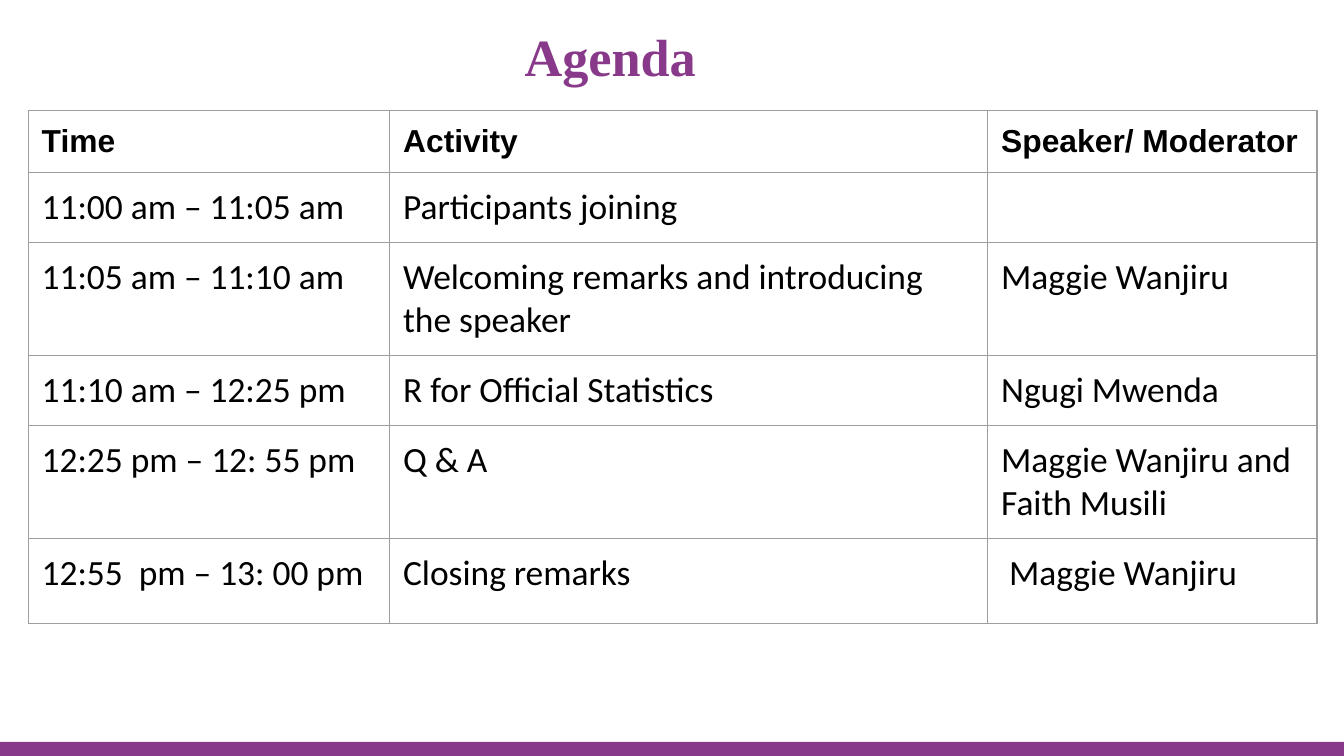
from lxml import etree
from pptx import Presentation
from pptx.dml.color import RGBColor
from pptx.enum.shapes import MSO_SHAPE
from pptx.enum.text import MSO_ANCHOR, PP_ALIGN
from pptx.oxml.ns import qn
from pptx.util import Inches, Pt

RECT = MSO_SHAPE.RECTANGLE
MIDDLE = MSO_ANCHOR.MIDDLE
CENTER = PP_ALIGN.CENTER
PURPLE = RGBColor(0x88, 0x39, 0x8A)
BLACK = RGBColor(0, 0, 0)
GREY = RGBColor(0x9E, 0x9E, 0x9E)
WIDTH = Inches(10)
HEIGHT = WIDTH * 9 // 16
PAD = Inches(0.1)
COLS = [2.69, 4.45, 2.45]
ROWS = [0.43, 0.48, 0.63, 0.48, 0.48, 0.63]
AGENDA = [
    ("Time", "Activity", "Speaker/ Moderator"),
    ("11:00 am – 11:05 am", "Participants joining", ""),
    ("11:05 am – 11:10 am", "Welcoming remarks and introducing the speaker",
     "Maggie Wanjiru"),
    ("11:10 am – 12:25 pm", "R for Official Statistics", "Ngugi Mwenda"),
    ("12:25 pm – 12: 55 pm", "Q & A", "Maggie Wanjiru and Faith Musili"),
    ("12:55  pm – 13: 00 pm", "Closing remarks", " Maggie Wanjiru"),
]


def style(frame, name, size, color, bold):
    """Format every run of a text frame."""
    for para in frame.paragraphs:
        for run in para.runs:
            font = run.font
            font.name, font.size, font.bold = name, Pt(size), bold
            font.color.rgb = color


def pad(box):
    """Give a cell or text frame equal margins."""
    box.margin_left = box.margin_right = PAD
    box.margin_top = box.margin_bottom = PAD


def add_title(slide, text):
    """Place and format the title."""
    title = slide.shapes.title
    title.left, title.top = Inches(1.12), Inches(0.16)
    title.width, title.height = Inches(6.84), Inches(0.51)
    frame = title.text_frame
    frame.text = text
    frame.vertical_anchor = MIDDLE
    frame.paragraphs[0].alignment = CENTER
    pad(frame)
    style(frame, "Times New Roman", 28, PURPLE, True)


def add_bar(slide):
    """Draw the band along the bottom edge."""
    top = Inches(5.52)
    bar = slide.shapes.add_shape(RECT, 0, top, WIDTH, HEIGHT - top)
    bar.shadow.inherit = False
    bar.fill.solid()
    bar.fill.fore_color.rgb = PURPLE
    bar.line.fill.background()


def add_border(cell):
    """Outline all four sides of a cell."""
    props = cell._tc.get_or_add_tcPr()
    for side in ("a:lnL", "a:lnR", "a:lnT", "a:lnB"):
        line = etree.SubElement(props, qn(side), w=str(Pt(0.75)))
        fill = etree.SubElement(line, qn("a:solidFill"))
        etree.SubElement(fill, qn("a:srgbClr"), val=str(GREY))


def fill_cell(cell, text, head):
    """Write and format one cell."""
    cell.text_frame.text = text
    pad(cell)
    add_border(cell)
    cell.fill.background()
    name, size = ("Arial", 17) if head else ("Calibri", 19)
    style(cell.text_frame, name, size, BLACK, head)


def add_agenda(slide):
    """Build the agenda table."""
    table = slide.shapes.add_table(
        len(ROWS), len(COLS), Inches(0.21), Inches(0.82),
        Inches(sum(COLS)), Inches(sum(ROWS))).table
    table.horz_banding = False
    for col, width in zip(table.columns, COLS):
        col.width = Inches(width)
    for row, height in zip(table.rows, ROWS):
        row.height = Inches(height)
    for r, texts in enumerate(AGENDA):
        for c, text in enumerate(texts):
            fill_cell(table.cell(r, c), text, r == 0)


def main():
    """Build and save the slide."""
    deck = Presentation()
    deck.slide_width, deck.slide_height = WIDTH, HEIGHT
    slide = deck.slides.add_slide(deck.slide_layouts[5])
    add_bar(slide)
    add_agenda(slide)
    add_title(slide, "Agenda")
    deck.save("out.pptx")


if __name__ == "__main__":
    main()
